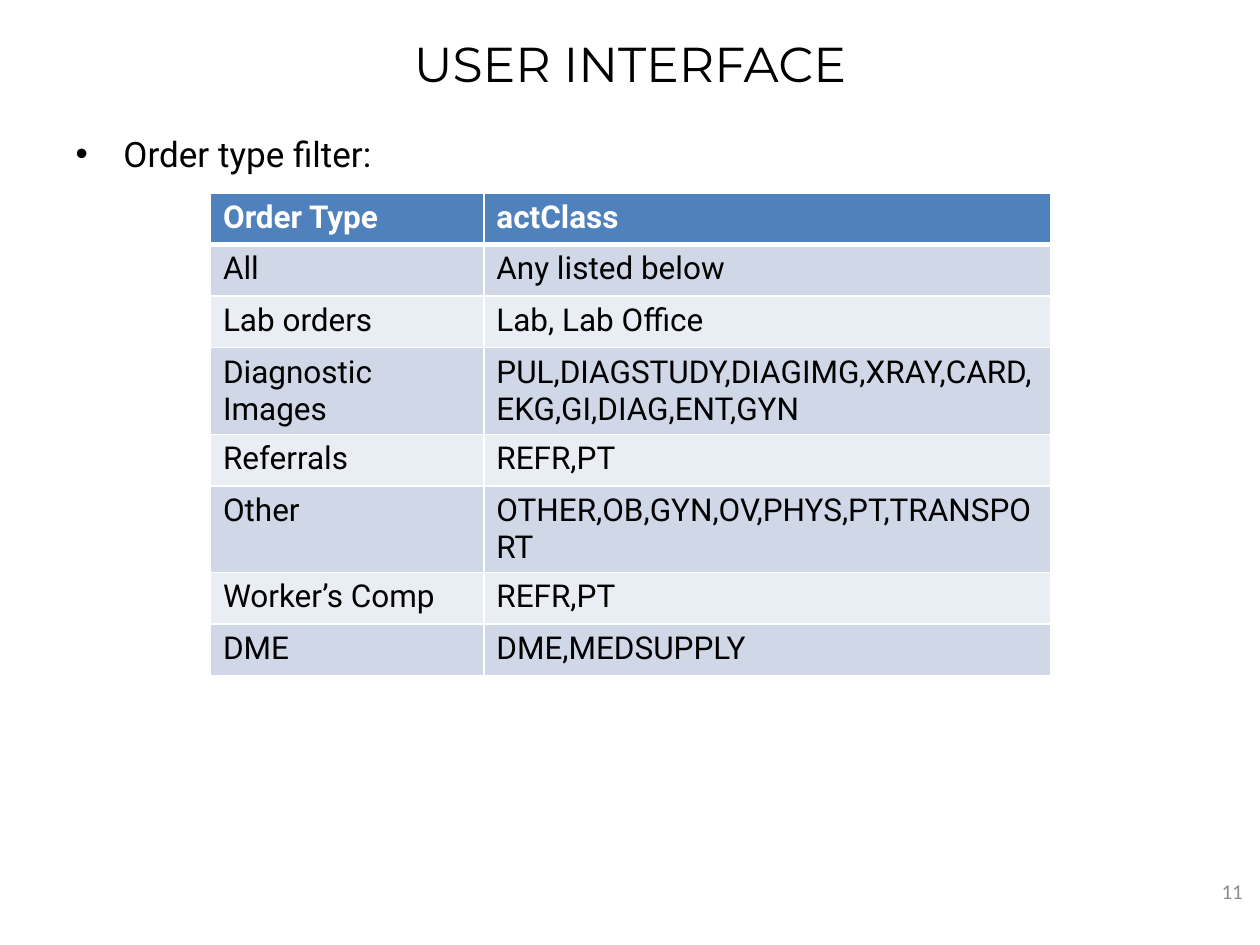
from lxml import etree
from pptx import Presentation
from pptx.dml.color import RGBColor
from pptx.enum.text import MSO_ANCHOR, MSO_AUTO_SIZE, PP_ALIGN
from pptx.oxml.ns import qn
from pptx.util import Inches, Pt

MIDDLE = MSO_ANCHOR.MIDDLE
CENTER = PP_ALIGN.CENTER
NO_AUTOFIT = MSO_AUTO_SIZE.NONE

COLORS = {
    "text": "000000",
    "white": "FFFFFF",
    "header": "4F81BD",
    "odd_row": "D0D8E8",
    "even_row": "E9EDF4",
    "page_number": "8C8C8C",
}


def style(paragraph, font_name, size, color, bold=False):
    font = paragraph.font
    font.name = font_name
    font.size = Pt(size)
    font.bold = bold
    font.color.rgb = RGBColor.from_string(COLORS[color])


def set_borders(cell, bottom_width):
    """Draw white borders; they must precede the fill in the cell properties."""
    properties = cell._tc.get_or_add_tcPr()
    widths = {"a:lnL": 1, "a:lnR": 1, "a:lnT": 1, "a:lnB": bottom_width}
    for position, (tag, width) in enumerate(widths.items()):
        line = etree.Element(qn(tag), w=str(Pt(width)))
        fill = etree.SubElement(line, qn("a:solidFill"))
        etree.SubElement(fill, qn("a:srgbClr"), val=COLORS["white"])
        properties.insert(position, line)


prs = Presentation()
prs.slide_width, prs.slide_height = Inches(10), Inches(7.5)
slide = prs.slides.add_slide(prs.slide_layouts[1])

# Title
title = slide.shapes.title
title.left, title.top = Inches(0.5), Inches(0.19)
title.width, title.height = Inches(9), Inches(0.62)
title.text_frame.text = "USER INTERFACE"
title.text_frame.auto_size = NO_AUTOFIT
title.text_frame.vertical_anchor = MIDDLE
heading = title.text_frame.paragraphs[0]
heading.alignment = CENTER
style(heading, "Montserrat", 28, "text")

# Bullet list
body = slide.placeholders[1]
body.left, body.top = Inches(0.5), Inches(1)
body.width, body.height = Inches(9), Inches(5.7)
body.text_frame.text = "Order type filter:"
body.text_frame.auto_size = NO_AUTOFIT
bullet = body.text_frame.paragraphs[0]
style(bullet, "Roboto", 20, "text")
bullet_properties = bullet._p.get_or_add_pPr()
bullet_properties.set("marL", str(Inches(0.38)))
bullet_properties.set("indent", str(-Inches(0.38)))

# Order type table
orders = [
    ("Order Type", "actClass"),
    ("All", "Any listed below"),
    ("Lab orders", "Lab, Lab Office"),
    ("Diagnostic Images", "PUL,DIAGSTUDY,DIAGIMG,XRAY,CARD,EKG,GI,DIAG,ENT,GYN"),
    ("Referrals", "REFR,PT"),
    ("Other", "OTHER,OB,GYN,OV,PHYS,PT,TRANSPORT"),
    ("Worker’s Comp", "REFR,PT"),
    ("DME", "DME,MEDSUPPLY"),
]
row_height = Inches(0.41)
order_table = slide.shapes.add_table(
    len(orders), 2, Inches(1.67), Inches(1.53), Inches(6.67), row_height * len(orders)
).table
order_table.columns[0].width = Inches(2.17)
order_table.columns[1].width = Inches(4.5)

for row, entries in enumerate(orders):
    order_table.rows[row].height = row_height
    is_header = row == 0
    row_color = "header" if is_header else "odd_row" if row % 2 else "even_row"
    for column, entry in enumerate(entries):
        cell = order_table.cell(row, column)
        cell.text = entry
        cell.fill.solid()
        cell.fill.fore_color.rgb = RGBColor.from_string(COLORS[row_color])
        set_borders(cell, 3 if is_header else 1)
        style(cell.text_frame.paragraphs[0], "Roboto", 18,
              "white" if is_header else "text", is_header)

# Page number
page_number = slide.shapes.add_textbox(Inches(9.53), Inches(6.87), Inches(0.5), Inches(0.4))
page_number.text_frame.text = "11"
page_number.text_frame.word_wrap = True
page_number.text_frame.vertical_anchor = MIDDLE
number = page_number.text_frame.paragraphs[0]
number.alignment = CENTER
style(number, "Calibri", 12, "page_number")

prs.save("out.pptx")
